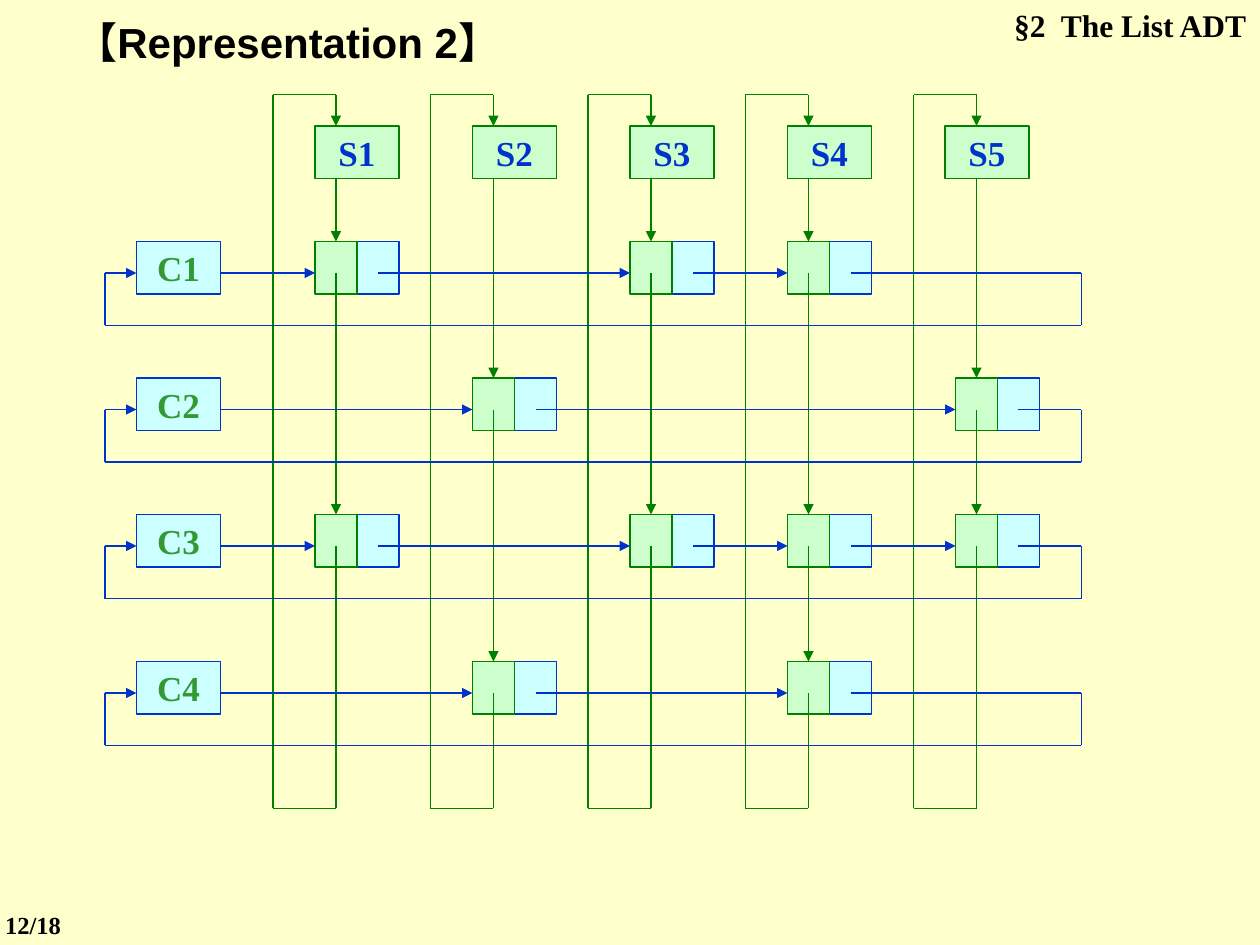
from dataclasses import dataclass
from itertools import pairwise

from lxml import etree
from pptx import Presentation
from pptx.dml.color import RGBColor
from pptx.enum.shapes import MSO_CONNECTOR, MSO_SHAPE
from pptx.enum.text import MSO_ANCHOR, PP_ALIGN
from pptx.oxml.ns import qn
from pptx.shapes.autoshape import Shape
from pptx.slide import Slide
from pptx.util import Inches, Length, Pt

RECTANGLE = MSO_SHAPE.RECTANGLE
STRAIGHT = MSO_CONNECTOR.STRAIGHT
MIDDLE = MSO_ANCHOR.MIDDLE
LEFT, CENTER, RIGHT = PP_ALIGN.LEFT, PP_ALIGN.CENTER, PP_ALIGN.RIGHT
TOP_SIDE = 0

CREAM = RGBColor(0xFF, 0xFF, 0xCC)
BLACK = RGBColor(0, 0, 0)
GREEN = RGBColor(0x00, 0x80, 0x00)
LEAF = RGBColor(0x33, 0x99, 0x33)
PALE_GREEN = RGBColor(0xCC, 0xFF, 0xCC)
BLUE = RGBColor(0x00, 0x33, 0xCC)
PALE_BLUE = RGBColor(0xCC, 0xFF, 0xFF)
SERIF, SANS = "Times New Roman", "Arial"

# The diagram lies on a grid of twelfths of an inch.
CELL_WIDTH, CELL_HEIGHT = 4, 5
HEADER_WIDTH = 2 * CELL_WIDTH
HEADER_TOP, ROW_LABEL_LEFT = 12, 13
POINTER_X, POINTER_Y = 2, 3  # where a pointer leaves its cell
LOOP_TOP, LOOP_BOTTOM, COLUMN_LOOP_WIDTH = 9, 77, 6
LOOP_LEFT, LOOP_RIGHT, ROW_LOOP_HEIGHT = 10, 103, 5

Point = tuple[float, float]


@dataclass(frozen=True)
class Column:
    name: str
    header_left: int
    node_left: int


@dataclass(frozen=True)
class Row:
    name: str
    top: int
    members: tuple[int, ...]


@dataclass(frozen=True)
class Caption:
    text: str
    left: float
    top: float
    width: float
    height: float
    size: int
    font: str
    space_before: float
    alignment: PP_ALIGN = LEFT
    side_inset: float = 0.1


COLUMNS = [
    Column("S1", 30, 30),
    Column("S2", 45, 45),
    Column("S3", 60, 60),
    Column("S4", 75, 75),
    Column("S5", 90, 91),
]
ROWS = [
    Row("C1", 23, (0, 2, 3)),
    Row("C2", 36, (1, 4)),
    Row("C3", 49, (0, 2, 3, 4)),
    Row("C4", 63, (1, 3)),
]
CAPTIONS = [
    Caption("§2  The List ADT", 7.58, 0, 2.41, 0.4, 18, SERIF, 11.2, RIGHT),
    Caption("【Representation 2】", 0.5, 0.08, 4, 0.5, 24, SANS, 12),
    Caption("12/18", 0, 7.17, 0.83, 0.34, 14, SERIF, 8.8, side_inset=0.04),
]


def grid(units: float) -> Length:
    return Inches(units / 12)


def write(shape: Shape, text: str, size: float, font: str, color: RGBColor,
          paragraph_format: dict) -> None:
    paragraph = shape.text_frame.paragraphs[0]
    for name, value in paragraph_format.items():
        setattr(paragraph, name, value)
    run = paragraph.add_run()
    run.text = text
    for name, value in {"name": font, "size": Pt(size), "bold": True}.items():
        setattr(run.font, name, value)
    run.font.color.rgb = color


def add_caption(slide: Slide, caption: Caption) -> None:
    box = slide.shapes.add_textbox(Inches(caption.left), Inches(caption.top),
                                   Inches(caption.width), Inches(caption.height))
    frame_format = {"word_wrap": True, "margin_left": Inches(caption.side_inset),
                    "margin_right": Inches(caption.side_inset)}
    for name, value in frame_format.items():
        setattr(box.text_frame, name, value)
    write(box, caption.text, caption.size, caption.font, BLACK,
          {"alignment": caption.alignment, "space_before": Pt(caption.space_before)})


def add_cell(slide: Slide, left: int, top: int, width: int,
             fill: RGBColor, outline: RGBColor) -> Shape:
    cell = slide.shapes.add_shape(RECTANGLE, grid(left), grid(top), grid(width), grid(CELL_HEIGHT))
    cell.shadow.inherit = False
    cell.fill.solid()
    cell.fill.fore_color.rgb = fill
    cell.line.color.rgb = outline
    cell.line.width = Pt(0.75)
    return cell


def add_header(slide: Slide, text: str, left: int, top: int, fill: RGBColor,
               outline: RGBColor, text_color: RGBColor) -> Shape:
    header = add_cell(slide, left, top, HEADER_WIDTH, fill, outline)
    header.text_frame.word_wrap = False
    header.text_frame.vertical_anchor = MIDDLE
    write(header, text, 20, SERIF, text_color, {"alignment": CENTER})
    return header


def add_line(slide: Slide, start: Point, end: Point, color: RGBColor,
             arrow: bool = False, target: Shape | None = None) -> None:
    """Draw a line; a target is joined at the middle of its top side."""
    line = slide.shapes.add_connector(STRAIGHT, *map(grid, start + end))
    line.line.color.rgb = color
    line.line.width = Pt(0.75)
    if arrow:
        etree.SubElement(line.line._get_or_add_ln(), qn("a:tailEnd"), type="triangle")
    etree.SubElement(line._element.spPr, qn("a:effectLst"))
    if target is not None:
        line.end_connect(target, TOP_SIDE)


def add_loop(slide: Slide, points: list[Point], color: RGBColor) -> None:
    """Draw the way back to the header, with an arrow on its last part."""
    for start, end in pairwise(points):
        add_line(slide, start, end, color, arrow=end == points[-1])


def link_column(slide: Slide, column: Column, nodes: list[tuple[int, Shape]]) -> None:
    x = column.node_left + POINTER_X
    start_y = HEADER_TOP + CELL_HEIGHT
    for top, cell in nodes:
        add_line(slide, (x, start_y), (x, top), GREEN, True, cell)
        start_y = top + POINTER_Y
    back = x - COLUMN_LOOP_WIDTH
    add_loop(slide, [(x, start_y), (x, LOOP_BOTTOM), (back, LOOP_BOTTOM),
                     (back, LOOP_TOP), (x, LOOP_TOP), (x, HEADER_TOP)], GREEN)


def link_row(slide: Slide, row: Row) -> None:
    y = row.top + POINTER_Y
    start_x = ROW_LABEL_LEFT + HEADER_WIDTH
    for member in row.members:
        left = COLUMNS[member].node_left
        add_line(slide, (start_x, y), (left, y), BLUE, True)
        start_x = left + CELL_WIDTH + POINTER_X
    back = y + ROW_LOOP_HEIGHT
    add_loop(slide, [(start_x, y), (LOOP_RIGHT, y), (LOOP_RIGHT, back),
                     (LOOP_LEFT, back), (LOOP_LEFT, y), (ROW_LABEL_LEFT, y)], BLUE)


def main() -> None:
    presentation = Presentation()
    presentation.slide_width, presentation.slide_height = Inches(10), Inches(7.5)
    slide = presentation.slides.add_slide(presentation.slide_layouts[6])
    slide.background.fill.solid()
    slide.background.fill.fore_color.rgb = CREAM

    column_nodes = [[] for _ in COLUMNS]
    for row in ROWS:
        for member in row.members:
            left = COLUMNS[member].node_left
            add_cell(slide, left + CELL_WIDTH, row.top, CELL_WIDTH, PALE_BLUE, BLUE)
            cell = add_cell(slide, left, row.top, CELL_WIDTH, PALE_GREEN, GREEN)
            column_nodes[member].append((row.top, cell))
    for caption in CAPTIONS:
        add_caption(slide, caption)
    for column in COLUMNS:
        add_header(slide, column.name, column.header_left, HEADER_TOP, PALE_GREEN, GREEN, BLUE)
    for row in ROWS:
        add_header(slide, row.name, ROW_LABEL_LEFT, row.top, PALE_BLUE, BLUE, LEAF)
    for column, nodes in zip(COLUMNS, column_nodes):
        link_column(slide, column, nodes)
    for row in ROWS:
        link_row(slide, row)
    presentation.save("out.pptx")


if __name__ == "__main__":
    main()
